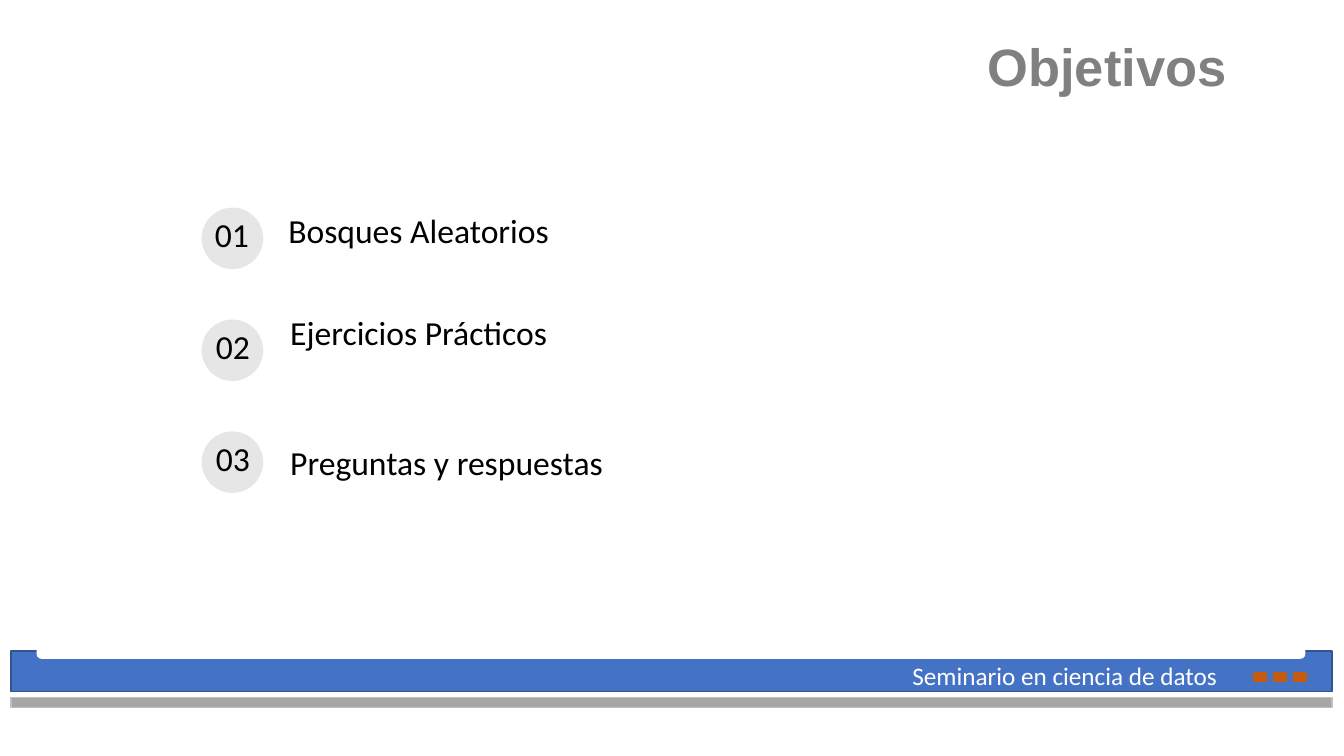
from pptx import Presentation
from pptx.dml.color import RGBColor
from pptx.enum.shapes import MSO_SHAPE
from pptx.enum.text import MSO_ANCHOR, MSO_AUTO_SIZE, PP_ALIGN
from pptx.util import Inches, Pt

# number, number box left and top, circle top, text, text box left, top, width, height
OBJECTIVES = [
    ("01", 1.85, 1.97, 2.06, "Bosques Aleatorios", (2.76, 2.13, 6.68, 0.45)),
    ("02", 1.86, 3.08, 3.17, "Ejercicios Prácticos", (2.78, 3.14, 4.11, 0.79)),
    ("03", 1.86, 4.19, 4.28, "Preguntas y respuestas", (2.78, 4.43, 3.58, 0.61)),
]


def color(hex_string):
    return RGBColor.from_string(hex_string)


def box(at):
    return [Inches(v) for v in at]


def place(sp, at):
    sp.left, sp.top, sp.width, sp.height = box(at)


def add_filled(s, kind, at, fill, line=None):
    sp = s.shapes.add_shape(kind, *box(at))
    sp.shadow.inherit = False
    sp.fill.solid()
    sp.fill.fore_color.rgb = color(fill)
    if line:
        sp.line.color.rgb = color(line)
        sp.line.width = Pt(1)
    else:
        sp.line.fill.background()
    return sp


def set_text(sp, text, size, fill="000000", font="Calibri", bold=False,
             align=PP_ALIGN.LEFT, anchor=MSO_ANCHOR.TOP,
             insets=(0.1, 0.05, 0.1, 0.05), spacing=1.0, after=0):
    """Write one paragraph; insets run left, top, right, bottom."""
    tf = sp.text_frame
    tf.word_wrap = True
    tf.auto_size = MSO_AUTO_SIZE.NONE
    tf.vertical_anchor = anchor
    tf.margin_left, tf.margin_top, tf.margin_right, tf.margin_bottom = box(insets)
    p = tf.paragraphs[0]
    p.alignment = align
    p.line_spacing = spacing
    p.space_before = Pt(0)
    p.space_after = Pt(after)
    r = p.add_run()
    r.text = text
    r.font.name = font
    r.font.size = Pt(size)
    r.font.bold = bold
    r.font.color.rgb = color(fill)


def add_footer(s):
    add_filled(s, MSO_SHAPE.RECTANGLE, (0.11, 6.46, 13.1, 0.4), "4472C4", "325491")
    add_filled(s, MSO_SHAPE.ROUNDED_RECTANGLE, (0.37, 6.27, 12.57, 0.26), "FFFFFF", "FFFFFF")
    add_filled(s, MSO_SHAPE.RECTANGLE, (0.11, 6.92, 13.1, 0.1), "A6A6A6", "BFBFBF")
    for i in range(3):
        add_filled(s, MSO_SHAPE.RECTANGLE, (12.43 + 0.2 * i, 6.67, 0.13, 0.09), "C55A11", "C55A11")
    sp = s.shapes.add_textbox(*box((8.95, 6.5, 3.45, 0.4)))
    set_text(sp, "Seminario en ciencia de datos", 18, "FFFFFF")


def add_objectives(s):
    for i, (number, left, top, circle_top, text, at) in enumerate(OBJECTIVES):
        add_filled(s, MSO_SHAPE.OVAL, (2, circle_top, 0.61, 0.61), "E7E6E6")
        sp = s.shapes.add_textbox(*box((left, top, 0.9, 0.61)))
        set_text(sp, number, 24, align=PP_ALIGN.CENTER,
                 insets=(0.1, 0.2, 0.1, 0.1), spacing=0.9)
        if i == 0:
            sp = s.placeholders[1]
            place(sp, at)
        else:
            sp = s.shapes.add_textbox(*box(at))
        set_text(sp, text, 24, insets=(0.1, 0, 0.1, 0.1), spacing=0.9, after=12)


def main():
    prs = Presentation()
    prs.slide_width, prs.slide_height = Inches(13.33), Inches(7.5)
    s = prs.slides.add_slide(prs.slide_layouts[0])
    add_footer(s)
    place(s.shapes.title, (1.41, 0.4, 11, 0.6))
    set_text(s.shapes.title, "Objetivos", 37.5, "808080", "Arial", True,
             PP_ALIGN.RIGHT, MSO_ANCHOR.BOTTOM, (0.1, 0.05, 0.24, 0.05), 0.7)
    add_objectives(s)
    prs.save("out.pptx")


if __name__ == "__main__":
    main()
